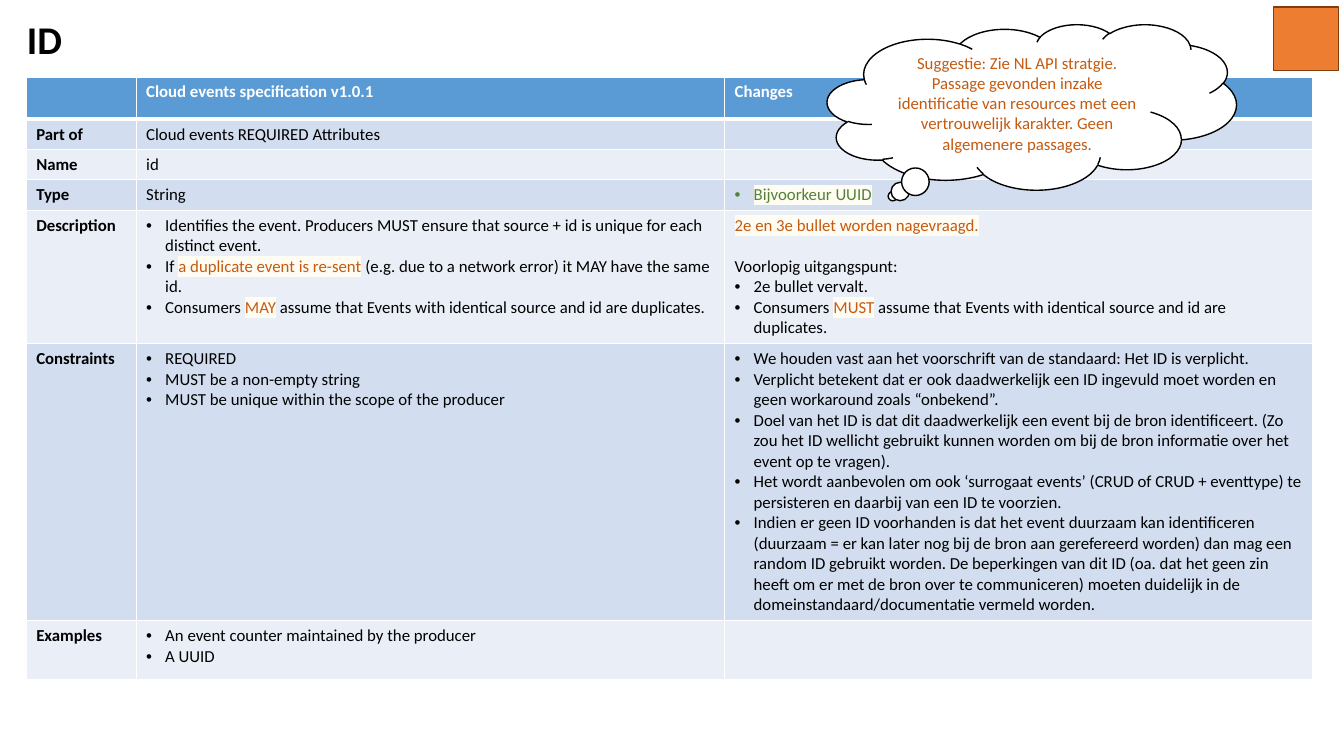
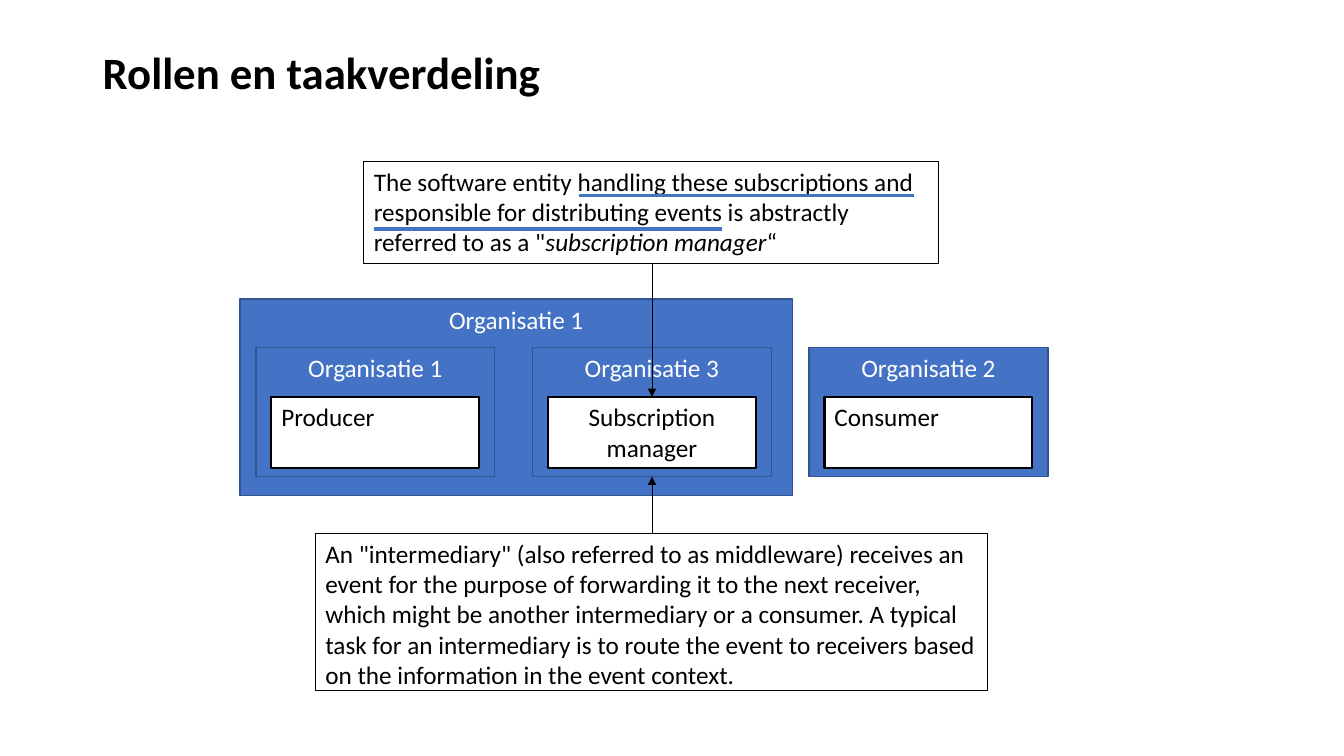
from dataclasses import dataclass

from lxml import etree
from pptx import Presentation
from pptx.dml.color import RGBColor
from pptx.enum.shapes import MSO_CONNECTOR as CONNECTOR, MSO_SHAPE as SHAPE
from pptx.enum.text import MSO_ANCHOR as ANCHOR, PP_ALIGN as ALIGN
from pptx.oxml.ns import qn
from pptx.util import Cm, Pt

FONT = "Calibri"
COLOURS = {
    "black": "000000", "white": "FFFFFF", "highlight": "FFFCF3",
    "orange": "ED7D31", "brown": "843C0B", "remark": "C55A11", "green": "548235",
    "header": "5B9BD5", "band_dark": "D2DEEF", "band_light": "EAEFF7",
    "blue": "4472C4", "blue_edge": "325491",
}
OPEN_POINT = {"colour": "remark", "marked": True}
PREFERENCE = {"colour": "green", "marked": True}
ITALIC = {"italic": True}


@dataclass
class Para:
    """Runs are plain strings or (text, style) pairs."""
    runs: tuple
    bullet: bool = False
    before: float = 0


def line(*runs, before=0):
    return [Para(runs, before=before)]


def bullets(*items):
    return [Para(i if isinstance(i, tuple) else (i,), bullet=True) for i in items]


HEADER = ["", "Cloud events specification v1.0.1", "Changes"]
ID_ROWS = [
    ("Part of", 0.76, line("Cloud events REQUIRED Attributes"), []),
    ("Name", 0.77, line("id"), []),
    ("Type", 0.77, line("String"), bullets((("Bijvoorkeur UUID", PREFERENCE),))),
    ("Description", 3.36,
     bullets(
         "Identifies the event. Producers MUST ensure that source + id is unique "
         "for each distinct event.",
         ("If ", ("a duplicate event is re-sent", OPEN_POINT),
          " (e.g. due to a network error) it MAY have the same id."),
         ("Consumers ", ("MAY", OPEN_POINT),
          " assume that Events with identical source and id are duplicates.")),
     line(("2e en 3e bullet worden nagevraagd.", OPEN_POINT))
     + line("Voorlopig uitgangspunt:", before=14.6)
     + bullets(
         "2e bullet vervalt.",
         ("Consumers ", ("MUST", OPEN_POINT),
          " assume that Events with identical source and id are duplicates."))),
    ("Constraints", 6.98,
     bullets("REQUIRED", "MUST be a non-empty string",
             "MUST be unique within the scope of the producer"),
     bullets(
         "We houden vast aan het voorschrift van de standaard: Het ID is verplicht.",
         "Verplicht betekent dat er ook daadwerkelijk een ID ingevuld moet worden "
         "en geen workaround zoals “onbekend”.",
         "Doel van het ID is dat dit daadwerkelijk een event bij de bron "
         "identificeert. (Zo zou het ID wellicht gebruikt kunnen worden om bij de "
         "bron informatie over het event op te vragen).",
         "Het wordt aanbevolen om ook ‘surrogaat events’ (CRUD of CRUD + eventtype) "
         "te persisteren en daarbij van een ID te voorzien.",
         "Indien er geen ID voorhanden is dat het event duurzaam kan identificeren "
         "(duurzaam = er kan later nog bij de bron aan gerefereerd worden) dan mag "
         "een random ID gebruikt worden. De beperkingen van dit ID (oa. dat het geen "
         "zin heeft om er met de bron over te communiceren) moeten duidelijk in de "
         "domeinstandaard/documentatie vermeld worden.")),
    ("Examples", 1.47,
     bullets("An event counter maintained by the producer", "A UUID"), []),
]


def rgb(name):
    return RGBColor.from_string(COLOURS[name])


def add_colour(parent, tag, name):
    el = etree.SubElement(parent, qn(tag))
    etree.SubElement(el, qn("a:srgbClr"), val=COLOURS[name])
    return el


def format_run(r, size, colour, bold=False, italic=False, marked=False):
    r.font.size, r.font.bold, r.font.italic = Pt(size), bold, italic
    r.font.color.rgb = rgb(colour)
    r.font.name = FONT
    if marked:
        rpr = r.font._element
        highlight = add_colour(rpr, "a:highlight", "highlight")
        rpr.find(qn("a:solidFill")).addnext(highlight)


def add_bullet(p):
    ppr = p._p.get_or_add_pPr()
    indent = Cm(0.48)
    ppr.set("marL", str(indent))
    ppr.set("indent", str(-indent))
    etree.SubElement(ppr, qn("a:buFont"), typeface="Arial")
    etree.SubElement(ppr, qn("a:buChar"), char="•")


def write(tf, paras, size, colour="black", bold=False, align=ALIGN.LEFT):
    tf.word_wrap = True
    for i, para in enumerate(paras):
        p = tf.add_paragraph() if i else tf.paragraphs[0]
        p.alignment = align
        if para.before:
            p.space_before = Pt(para.before)
        if para.bullet:
            add_bullet(p)
        for item in para.runs:
            text, style = (item, {}) if isinstance(item, str) else item
            r = p.add_run()
            r.text = text
            format_run(r, size, **{"colour": colour, "bold": bold, **style})


def add_title(s, text, box, size):
    tf = s.shapes.add_textbox(*map(Cm, box)).text_frame
    tf.vertical_anchor = ANCHOR.MIDDLE
    write(tf, line(text), size, bold=True)
    tf.paragraphs[0].line_spacing = 0.9


def add_box(s, box, fill, edge, width=1, kind=SHAPE.RECTANGLE):
    sp = s.shapes.add_shape(kind, *map(Cm, box))
    sp.shadow.inherit = False
    if fill:
        sp.fill.solid()
        sp.fill.fore_color.rgb = rgb(fill)
    else:
        sp.fill.background()
    sp.line.color.rgb = rgb(edge)
    sp.line.width = Pt(width)
    sp.text_frame.vertical_anchor = ANCHOR.TOP
    return sp


def add_line(s, start, end, colour, width, arrow=False):
    c = s.shapes.add_connector(CONNECTOR.STRAIGHT, *map(Cm, start + end))
    c.line.color.rgb = rgb(colour)
    c.line.width = Pt(width)
    if arrow:
        etree.SubElement(c.line._get_or_add_ln(), qn("a:tailEnd"), type="triangle")
    etree.SubElement(c._element.spPr, qn("a:effectLst"))


def set_borders(cell, top, bottom):
    tcpr = cell._tc.get_or_add_tcPr()
    widths = {"a:lnL": 1, "a:lnR": 1, "a:lnT": top, "a:lnB": bottom}
    for i, (tag, width) in enumerate(widths.items()):
        ln = etree.Element(qn(tag), w=str(Pt(width)))
        add_colour(ln, "a:solidFill", "white")
        tcpr.insert(i, ln)


def fill_cell(cell, paras, fill, size=12, top=1, bottom=1, **style):
    cell.fill.solid()
    cell.fill.fore_color.rgb = rgb(fill)
    set_borders(cell, top, bottom)
    if paras:
        write(cell.text_frame, paras, size, **style)
    else:
        # An empty cell needs its own text size to keep the row low
        p = cell.text_frame.paragraphs[0]
        etree.SubElement(p._p, qn("a:endParaRPr"), sz=str(size * 100))


def add_id_table(s):
    widths = [2.77, 14.83, 14.83]
    heights = [1.06] + [row[1] for row in ID_ROWS]
    table = s.shapes.add_table(len(heights), len(widths), Cm(0.66), Cm(1.94),
                               Cm(sum(widths)), Cm(sum(heights))).table
    for col, width in zip(table.columns, widths):
        col.width = Cm(width)
    for row, height in zip(table.rows, heights):
        row.height = Cm(height)
    for c, text in enumerate(HEADER):
        fill_cell(table.cell(0, c), line(text) if text else [], "header",
                  bottom=3, colour="white", bold=True)
    for r, (label, _, spec_text, changes) in enumerate(ID_ROWS, 1):
        fill = "band_dark" if r % 2 else "band_light"
        for c, paras in enumerate((line(label), spec_text, changes)):
            fill_cell(table.cell(r, c), paras, fill, top=3 if r == 1 else 1,
                      bold=c == 0)


def build_id_slide(s):
    add_title(s, "ID", (0.43, 0.18, 15.11, 1.75), 28)
    add_id_table(s)
    add_box(s, (32.1, 0.18, 1.63, 1.6), "orange", "brown")
    cloud = add_box(s, (20.85, 0.61, 10.31, 4.17), "white", "black",
                    kind=SHAPE.CLOUD_CALLOUT)
    cloud.adjustments[0], cloud.adjustments[1] = -0.34, 0.54
    cloud.text_frame.vertical_anchor = ANCHOR.MIDDLE
    write(cloud.text_frame,
          line("Suggestie: Zie NL API stratgie.")
          + line("Passage gevonden inzake identificatie van resources met een "
                 "vertrouwelijk karakter. Geen algemenere passages."),
          12, "remark", align=ALIGN.CENTER)


def add_organisation(s, name, box):
    sp = add_box(s, box, "blue", "blue_edge")
    write(sp.text_frame, line(name), 18, "white", align=ALIGN.CENTER)


def add_role(s, name, box, align):
    sp = add_box(s, box, "white", "black", 1.5)
    write(sp.text_frame, line(name), 18, align=align)


def add_note(s, box, *runs):
    sp = add_box(s, box, None, "black", 0.75)
    write(sp.text_frame, line(*runs), 18)


def build_roles_slide(s):
    add_title(s, "Rollen en taakverdeling", (2.34, 1.02, 29.21, 1.75), 32)
    add_organisation(s, "Organisatie 1", (6.05, 7.54, 13.92, 4.95))
    left, step, width, top, height = 6.45, 6.97, 6.02, 8.76, 3.25
    role_top, inset = 10, 0.39
    roles = [("Organisatie 1", "Producer", ALIGN.LEFT),
             ("Organisatie 3", "Subscription manager", ALIGN.CENTER),
             ("Organisatie 2", "Consumer", ALIGN.LEFT)]
    for i, (organisation, role, align) in enumerate(roles):
        x = left + i * step
        add_organisation(s, organisation, (x, top, width, height))
        add_role(s, role, (x + inset, role_top, width - 2 * inset, 1.8), align)

    add_note(s, (9.17, 4.06, 14.48, 2.57),
             "The software entity handling these subscriptions and responsible for "
             "distributing events is abstractly referred to as a \"",
             ("subscription manager", ITALIC), "“")
    add_note(s, (7.95, 13.44, 16.94, 3.96),
             "An \"intermediary\" (also referred to as middleware) receives an event "
             "for the purpose of forwarding it to the next receiver, which might be "
             "another intermediary or a consumer. A typical task for an intermediary "
             "is to route the event to receivers based on the information in the "
             "event context.")
    middle = left + step + width / 2
    for start, end in ((6.63, role_top), (13.44, top + height)):
        add_line(s, (middle, start), (middle, end), "black", 0.5, arrow=True)
    for x1, x2, y in ((14.6, 23.04, 4.93), (9.42, 18.19, 5.77)):
        add_line(s, (x1, y), (x2, y), "blue", 2.25)


def main():
    prs = Presentation()
    prs.slide_width, prs.slide_height = Cm(33.87), Cm(19.05)
    for build in (build_id_slide, build_roles_slide):
        build(prs.slides.add_slide(prs.slide_layouts[6]))
    prs.save("out.pptx")


if __name__ == "__main__":
    main()
